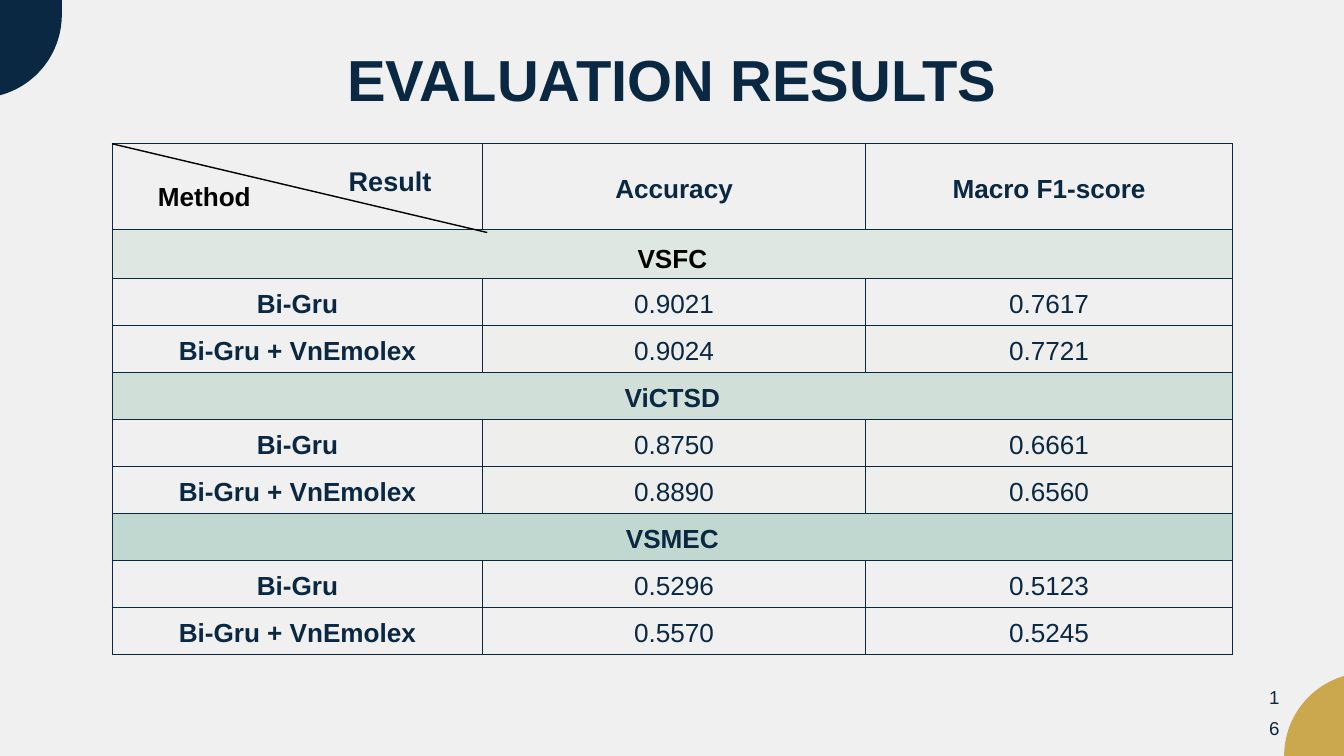
import math

from lxml import etree
from pptx import Presentation
from pptx.dml.color import RGBColor
from pptx.enum.shapes import MSO_CONNECTOR
from pptx.enum.text import MSO_ANCHOR, MSO_AUTO_SIZE, PP_ALIGN
from pptx.oxml.ns import qn
from pptx.util import Inches, Pt

CENTER, LEFT = PP_ALIGN.CENTER, PP_ALIGN.LEFT
MIDDLE, BOTTOM = MSO_ANCHOR.MIDDLE, MSO_ANCHOR.BOTTOM
GROW = MSO_AUTO_SIZE.SHAPE_TO_FIT_TEXT
STRAIGHT = MSO_CONNECTOR.STRAIGHT

FONT = "Arial"
PAPER = RGBColor(0xF0, 0xF0, 0xF0)
NAVY = RGBColor(0x0A, 0x28, 0x41)
GOLD = RGBColor(0xCB, 0xA7, 0x4E)
BLACK = RGBColor(0, 0, 0)
OFF_WHITE = RGBColor(0xEE, 0xEE, 0xEC)
PALE_GREEN = RGBColor(0xDF, 0xE7, 0xE3)
LIGHT_GREEN = RGBColor(0xD0, 0xE0, 0xD9)
GREEN = RGBColor(0xC0, 0xD8, 0xCF)

COLUMNS = [5.51, 5.7, 5.46]
HEADER_H, BAND_H, ROW_H = 1.28, 0.72, 0.7
METHODS = ["Bi-Gru", "Bi-Gru + VnEmolex"]
# Data set, band fill, band text colour, scores and score fill for each method
DATASETS = [
    ("VSFC", PALE_GREEN, BLACK,
     [("0.9021", "0.7617", None), ("0.9024", "0.7721", OFF_WHITE)]),
    ("ViCTSD", LIGHT_GREEN, NAVY,
     [("0.8750", "0.6661", OFF_WHITE), ("0.8890", "0.6560", OFF_WHITE)]),
    ("VSMEC", GREEN, NAVY,
     [("0.5296", "0.5123", None), ("0.5570", "0.5245", None)]),
]


def write(tf, text, size, color=NAVY, bold=True, spacing=1.2, align=CENTER):
    p = tf.paragraphs[0]
    p.alignment = align
    p.line_spacing = spacing
    r = p.add_run()
    r.text = text
    r.font.name = FONT
    r.font.size = Pt(size)
    r.font.bold = bold
    r.font.color.rgb = color


def add_label(s, box, text, size, **style):
    sp = s.shapes.add_textbox(*map(Inches, box))
    tf = sp.text_frame
    tf.word_wrap = True
    tf.auto_size = GROW
    tf.margin_left = tf.margin_right = tf.margin_top = tf.margin_bottom = 0
    write(tf, text, size, **style)


def add_corner(s, box, color, side):
    """Rectangle with one corner rounded over its full width.

    side is 1 for the bottom right corner, -1 for the top left one.
    """
    left, top, w, h = box
    cx = left if side > 0 else left + w
    cy = top + h - w if side > 0 else top + w
    flat = top if side > 0 else top + h
    points = [(cx + side * w * math.cos(math.radians(a)),
               cy + side * w * math.sin(math.radians(a))) for a in range(0, 91, 2)]
    points += [(cx, flat), (cx + side * w, flat)]
    points = [(Inches(x), Inches(y)) for x, y in points]
    fb = s.shapes.build_freeform(*points[0])
    fb.add_line_segments(points[1:], close=True)
    sp = fb.convert_to_shape()
    sp.shadow.inherit = False
    sp.fill.solid()
    sp.fill.fore_color.rgb = color
    sp.line.fill.background()


def set_borders(cell):
    tcPr = cell._tc.get_or_add_tcPr()
    for i, side in enumerate(("a:lnL", "a:lnR", "a:lnT", "a:lnB")):
        ln = etree.Element(qn(side), w=str(Pt(1.5)))
        fill = etree.SubElement(ln, qn("a:solidFill"))
        etree.SubElement(fill, qn("a:srgbClr"), val=str(NAVY))
        tcPr.insert(i, ln)


def fill_cell(cell, text, fill=None, anchor=MIDDLE, **style):
    cell.vertical_anchor = anchor
    cell.margin_left = cell.margin_right = Inches(0.02)
    cell.margin_top = cell.margin_bottom = Inches(0.02)
    if fill is None:
        cell.fill.background()
    else:
        cell.fill.solid()
        cell.fill.fore_color.rgb = fill
    set_borders(cell)
    if text:
        write(cell.text_frame, text, 28, **style)


def add_results_table(s, left, top):
    heights = [HEADER_H, BAND_H] + [ROW_H] * 8
    frame = s.shapes.add_table(len(heights), len(COLUMNS), Inches(left), Inches(top),
                               Inches(sum(COLUMNS)), Inches(sum(heights)))
    table = frame.table
    table.first_row = table.horz_banding = False
    for column, w in zip(table.columns, COLUMNS):
        column.width = Inches(w)
    for row, h in zip(table.rows, heights):
        row.height = Inches(h)

    # Header row
    corner = table.cell(0, 0)
    fill_cell(corner, "Method", anchor=BOTTOM, color=BLACK, spacing=1.4, align=LEFT)
    corner.margin_left = Inches(0.68)
    corner.margin_bottom = Inches(0.26)
    fill_cell(table.cell(0, 1), "Accuracy")
    fill_cell(table.cell(0, 2), "Macro F1-score")

    # A band and one row per method for each data set
    r = 1
    for name, band, color, scores in DATASETS:
        for c in range(3):
            fill_cell(table.cell(r, c), "" if c else name, band, color=color,
                      spacing=1.4 if r == 1 else 1.2)
        table.cell(r, 0).merge(table.cell(r, 2))
        for i, (method, (accuracy, f1, fill)) in enumerate(zip(METHODS, scores), r + 1):
            fill_cell(table.cell(i, 0), method)
            fill_cell(table.cell(i, 1), accuracy, fill, bold=False)
            fill_cell(table.cell(i, 2), f1, fill, bold=False)
        r += 1 + len(METHODS)

    # Diagonal that splits the corner cell
    line = s.shapes.add_connector(STRAIGHT, Inches(left), Inches(top),
                                  Inches(left + 5.58), Inches(top + 1.32))
    line.line.color.rgb = BLACK
    line.line.width = Pt(1.5)
    etree.SubElement(line._element.spPr, qn("a:effectLst"))
    add_label(s, (left + 1.34, top + 0.11, 5.59, 0.55), "Result", 29, spacing=1.4)


def main():
    prs = Presentation()
    prs.slide_width, prs.slide_height = Inches(20), Inches(11.25)
    s = prs.slides.add_slide(prs.slide_layouts[6])
    s.background.fill.solid()
    s.background.fill.fore_color.rgb = PAPER

    # Corner ornaments
    add_corner(s, (-0.32, -0.02, 1.24, 1.48), NAVY, 1)
    add_corner(s, (19.11, 10.01, 1.24, 1.24), GOLD, -1)
    # Title, table and page number
    add_label(s, (1.3, 0.44, 17.4, 1.05), "EVALUATION RESULTS", 62)
    add_results_table(s, 1.67, 2.14)
    add_label(s, (18.88, 10.07, 0.17, 0.22), "16", 20, bold=False, spacing=1.4)
    prs.save("out.pptx")


if __name__ == "__main__":
    main()
